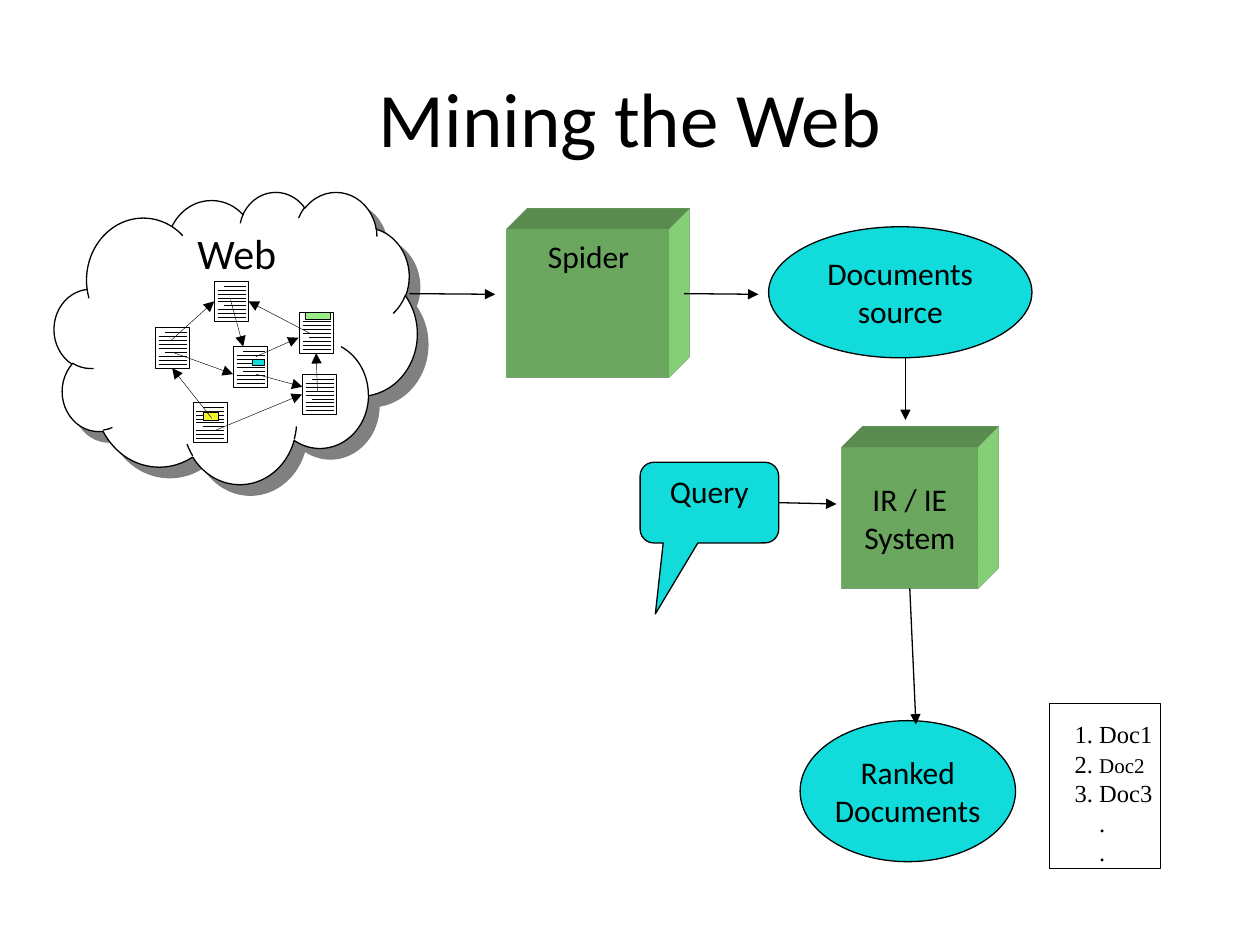
import lxml.etree
import pptx
import pptx.dml.color
import pptx.enum.shapes
import pptx.enum.text
import pptx.oxml
import pptx.oxml.ns
import pptx.util

Pt = pptx.util.Pt
RGBColor = pptx.dml.color.RGBColor
SHAPE = pptx.enum.shapes.MSO_SHAPE
ANCHOR = pptx.enum.text.MSO_ANCHOR
ALIGN = pptx.enum.text.PP_ALIGN
AUTO_SIZE = pptx.enum.text.MSO_AUTO_SIZE
qn = pptx.oxml.ns.qn

BLACK = RGBColor(0x00, 0x00, 0x00)
WHITE = RGBColor(0xFF, 0xFF, 0xFF)
CYAN = RGBColor(0x11, 0xDB, 0xDB)
GREEN = RGBColor(0x98, 0xED, 0x87)
YELLOW = RGBColor(0xF4, 0xF4, 0x32)
SHADOW_GREY = RGBColor(0x80, 0x80, 0x80)

TOP, LEFT, BOTTOM, RIGHT = range(4)
THIN, NORMAL = 0.25, 0.75
PAGE_WIDTH, PAGE_HEIGHT = 19.6, 23.2

LABEL = {"name": "Calibri", "size": Pt(18)}
TITLE = {**LABEL, "size": Pt(44)}
WEB_LABEL = {**LABEL, "size": Pt(24)}
LIST_ITEM = {"name": "Times New Roman", "size": Pt(14)}
SMALL_ITEM = {**LIST_ITEM, "size": Pt(12)}

PAGES = {
    "left": (88.6, 187.2),
    "middle": (133.2, 198),
    "bottom": (110.2, 229.7),
    "lower right": (172.6, 213.8),
    "top": (122.4, 160.6),
    "upper right": (170.9, 178.6),
}
HIGHLIGHTS = [
    ((144, 205.2, 7.2, 3.6), CYAN),
    ((174.2, 178.6, 14.4, 3.6), GREEN),
    ((115.9, 235.4, 8.6, 5), YELLOW),
]
# start, end, and the page side that the arrowhead joins, if any
HYPERLINKS = [
    ((97.9, 194.4), (122.4, 171.4), ("top", LEFT)),
    ((99.4, 201.6), (133.2, 213.8), None),
    ((177.8, 190.8), (142.6, 171.4), ("top", RIGHT)),
    ((181.4, 223.2), (181.4, 201.6), ("upper right", BOTTOM)),
    ((122.4, 246.2), (172.8, 226.1), ("lower right", LEFT)),
    ((121, 239), (99.4, 210.2), ("left", BOTTOM)),
    ((131.8, 171.4), (139, 198), None),
    ((146.2, 203.8), (170.6, 193), None),
    ((146.2, 213.8), (172.8, 221), None),
]


def format_font(font, values):
    for name, value in values.items():
        setattr(font, name, value)
    font.color.rgb = BLACK


def write_lines(frame, lines, values, align):
    frame.text = "\n".join(lines)
    for paragraph in frame.paragraphs:
        paragraph.alignment = align
        format_font(paragraph.font, values)


def add_box(parent, kind, box, fill, weight=NORMAL):
    """Add a filled shape; a weight of None leaves out its outline."""
    shape = parent.shapes.add_shape(kind, *map(Pt, box))
    shape.shadow.inherit = False
    shape.fill.solid()
    shape.fill.fore_color.rgb = fill
    if weight is None:
        shape.line.fill.background()
    else:
        shape.line.color.rgb = BLACK
        shape.line.width = Pt(weight)
    return shape


def label_box(shape, lines, anchor=ANCHOR.MIDDLE, wrap=False):
    frame = shape.text_frame
    frame.word_wrap = wrap
    frame.vertical_anchor = anchor
    write_lines(frame, lines, LABEL, ALIGN.CENTER)


def add_text(parent, box, lines, values):
    frame = parent.shapes.add_textbox(*map(Pt, box)).text_frame
    frame.word_wrap = False
    frame.auto_size = AUTO_SIZE.SHAPE_TO_FIT_TEXT
    write_lines(frame, lines, values, ALIGN.LEFT)
    return frame


def add_line(parent, start, end, weight=NORMAL, arrow=True):
    line = parent.shapes.add_connector(
        pptx.enum.shapes.MSO_CONNECTOR.STRAIGHT, *map(Pt, start + end))
    line.line.color.rgb = BLACK
    line.line.width = Pt(weight)
    if arrow:
        lxml.etree.SubElement(line.line._get_or_add_ln(), qn("a:tailEnd"), type="triangle")
    lxml.etree.SubElement(line._element.spPr, qn("a:effectLst"))
    return line


def add_block(slide, box):
    """Add a green box extruded to the upper right."""
    block = add_box(slide, SHAPE.RECTANGLE, box, GREEN, None)
    namespace = 'xmlns:a="http://schemas.openxmlformats.org/drawingml/2006/main"'
    for xml in (
        f'<a:scene3d {namespace}><a:camera prst="legacyObliqueTopRight"/>'
        '<a:lightRig rig="legacyFlat3" dir="b"/></a:scene3d>',
        f'<a:sp3d {namespace} extrusionH="430200" prstMaterial="legacyMatrix">'
        '<a:bevelT w="13500" h="13500" prst="angle"/>'
        '<a:bevelB w="13500" h="13500" prst="angle"/>'
        f'<a:extrusionClr><a:srgbClr val="{GREEN}"/></a:extrusionClr></a:sp3d>',
    ):
        block._element.spPr.append(pptx.oxml.parse_xml(xml))
    return block


def add_cloud(parent):
    cloud = add_box(parent, SHAPE.CLOUD, (31, 109.4, 207.4, 167), WHITE)
    effects = cloud._element.spPr.find(qn("a:effectLst"))
    shadow = lxml.etree.SubElement(
        effects, qn("a:outerShdw"), dist=str(Pt(8.5)), dir="2700000",
        algn="ctr", rotWithShape="0")
    lxml.etree.SubElement(shadow, qn("a:srgbClr"), val=str(SHADOW_GREY))


def add_page(parent, left, top):
    """Add a small page with nine lines of writing, two of them indented."""
    page = add_box(parent, SHAPE.RECTANGLE, (left, top, PAGE_WIDTH, PAGE_HEIGHT), WHITE, THIN)
    for row in range(9):
        y = top + 2.9 + 2.23 * row
        indent = 5.6 if row in (0, 5) else 2
        add_line(parent, (left + indent, y), (left + 18, y), THIN, arrow=False)
    return page


def add_web(slide):
    web = slide.shapes.add_group_shape()
    add_cloud(web)
    add_text(web, (105.8, 126.7, 59.8, 36), ["Web"], WEB_LABEL)
    pages = {name: add_page(web, *corner) for name, corner in PAGES.items()}
    for box, colour in HIGHLIGHTS:
        add_box(web, SHAPE.RECTANGLE, box, colour, THIN)
    for start, end, target in HYPERLINKS:
        hyperlink = add_line(web, start, end, THIN)
        if target:
            name, side = target
            hyperlink.end_connect(pages[name], side)


def add_ranking(slide):
    ranking = slide.shapes.add_group_shape()
    add_box(ranking, SHAPE.RECTANGLE, (599.8, 401.8, 63.4, 94.3), WHITE)
    frame = add_text(ranking, (607, 407.5, 59, 110),
                     ["1. Doc1", "2. ", "3. Doc3", ".", "."], LIST_ITEM)
    second = frame.paragraphs[1].add_run()
    second.text = "Doc2"
    format_font(second.font, SMALL_ITEM)
    for paragraph in frame.paragraphs:
        properties = paragraph._p.get_or_add_pPr()
        properties.set("marL", str(Pt(36)))
        properties.set("indent", str(Pt(-22 if paragraph.text == "." else -36)))


def add_title(slide):
    title = slide.shapes.title
    title.left, title.top, title.width, title.height = map(Pt, (36, 21.6, 648, 90))
    title.text_frame.vertical_anchor = ANCHOR.MIDDLE
    write_lines(title.text_frame, ["Mining the Web"], TITLE, ALIGN.CENTER)


def main():
    deck = pptx.Presentation()
    deck.slide_width, deck.slide_height = Pt(720), Pt(540)
    slide = deck.slides.add_slide(deck.slide_layouts[5])
    add_title(slide)

    system = add_block(slide, (481, 255.6, 77.8, 80.6))
    label_box(system, ["IR / IE", "System"])
    query = add_box(slide, SHAPE.ROUNDED_RECTANGULAR_CALLOUT, (365.8, 264.2, 79.2, 46.1), CYAN)
    for index, value in enumerate((-0.39, 1.38, 0.17)):
        query.adjustments[index] = value
    label_box(query, ["Query"], ANCHOR.TOP, wrap=True)
    for box, lines in (
        ((439.2, 129.6, 150.5, 74.9), ["Documents", "source"]),
        ((457.2, 411.8, 123.1, 80.6), ["Ranked", "Documents"]),
    ):
        label_box(add_box(slide, SHAPE.OVAL, box, CYAN), lines)

    add_ranking(slide)
    add_web(slide)
    add_block(slide, (289.4, 131, 92.9, 85))
    add_text(slide, (306, 131.8, 67, 31), ["Spider"], LABEL)

    add_line(slide, (234, 167.8), (283, 168.2))
    add_line(slide, (391, 167.8), (433.4, 168.2))
    add_line(slide, (517.4, 203.8), (517.4, 240))
    add_line(slide, (444.2, 288), (478, 288)).begin_connect(query, RIGHT)
    add_line(slide, (522, 336.2), (523.4, 414)).begin_connect(system, BOTTOM)
    deck.save("out.pptx")


if __name__ == "__main__":
    main()
